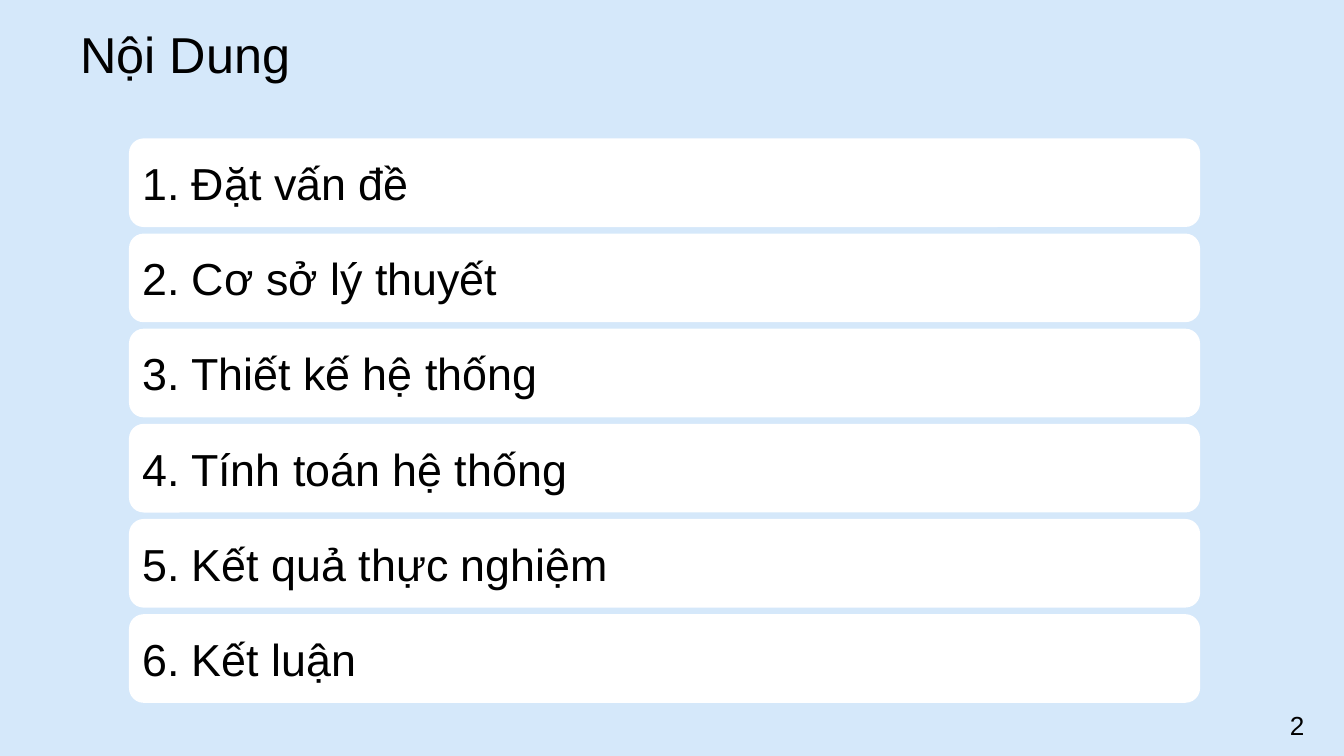
from dataclasses import dataclass

import pptx
import pptx.dml.color
import pptx.dml.fill
import pptx.enum.shapes
import pptx.enum.text
import pptx.shapes.shapetree
import pptx.util

Inches = pptx.util.Inches
Anchor = pptx.enum.text.MSO_ANCHOR
Shapes = pptx.shapes.shapetree.SlideShapes | pptx.shapes.shapetree.GroupShapes


@dataclass(frozen=True)
class Area:
    left: float
    top: float
    width: float
    height: float

    def lengths(self) -> tuple[pptx.util.Length, ...]:
        return tuple(Inches(n) for n in (self.left, self.top, self.width, self.height))


@dataclass(frozen=True)
class Label:
    text: str
    area: Area
    size: float
    anchor: Anchor = Anchor.MIDDLE
    inset: float = 0.05


PAGE_WIDTH = 10
PAGE_HEIGHT = PAGE_WIDTH * 9 / 16
FIRST_TOP = 1.03
LAST_TOP = 4.57
TOPICS = [
    "Đặt vấn đề",
    "Cơ sở lý thuyết",
    "Thiết kế hệ thống",
    "Tính toán hệ thống",
    "Kết quả thực nghiệm",
    "Kết luận",
]


def set_colour(fill: pptx.dml.fill.FillFormat, colour: str) -> None:
    fill.solid()
    fill.fore_color.rgb = pptx.dml.color.RGBColor.from_string(colour)


def add_label(shapes: Shapes, label: Label) -> None:
    box = shapes.add_textbox(*label.area.lengths())
    frame = box.text_frame
    frame.text = label.text
    frame.word_wrap = True
    frame.vertical_anchor = label.anchor
    frame.margin_left = frame.margin_right = Inches(0.1)
    frame.margin_top = frame.margin_bottom = Inches(label.inset)
    for span in frame.paragraphs[0].runs:
        span.font.name = "Arial"
        span.font.size = pptx.util.Pt(label.size)
        set_colour(span.font.fill, "000000")


def add_bar(shapes: Shapes, area: Area) -> None:
    bar = shapes.add_shape(
        pptx.enum.shapes.MSO_SHAPE.ROUNDED_RECTANGLE, *area.lengths()
    )
    bar.shadow.inherit = False
    set_colour(bar.fill, "FFFFFF")
    bar.line.fill.background()


def main() -> None:
    deck = pptx.Presentation()
    deck.slide_width = Inches(PAGE_WIDTH)
    deck.slide_height = Inches(PAGE_HEIGHT)
    page = deck.slides.add_slide(deck.slide_layouts[6])
    set_colour(page.background.fill, "D5E8FA")

    add_label(page.shapes, Label("Nội Dung", Area(0.5, 0.16, 9, 0.48), 27))

    contents = page.shapes.add_group_shape()
    step = (LAST_TOP - FIRST_TOP) / (len(TOPICS) - 1)
    for index, topic in enumerate(TOPICS):
        area = Area(0.96, FIRST_TOP + index * step, 7.97, 0.66)
        add_bar(contents.shapes, area)
        add_label(contents.shapes, Label(f"{index + 1}. {topic}", area, 24, inset=0.1))

    add_label(page.shapes, Label("2", Area(9.5, 5.23, 0.4, 0.34), 14, Anchor.TOP))

    deck.save("out.pptx")


if __name__ == "__main__":
    main()
